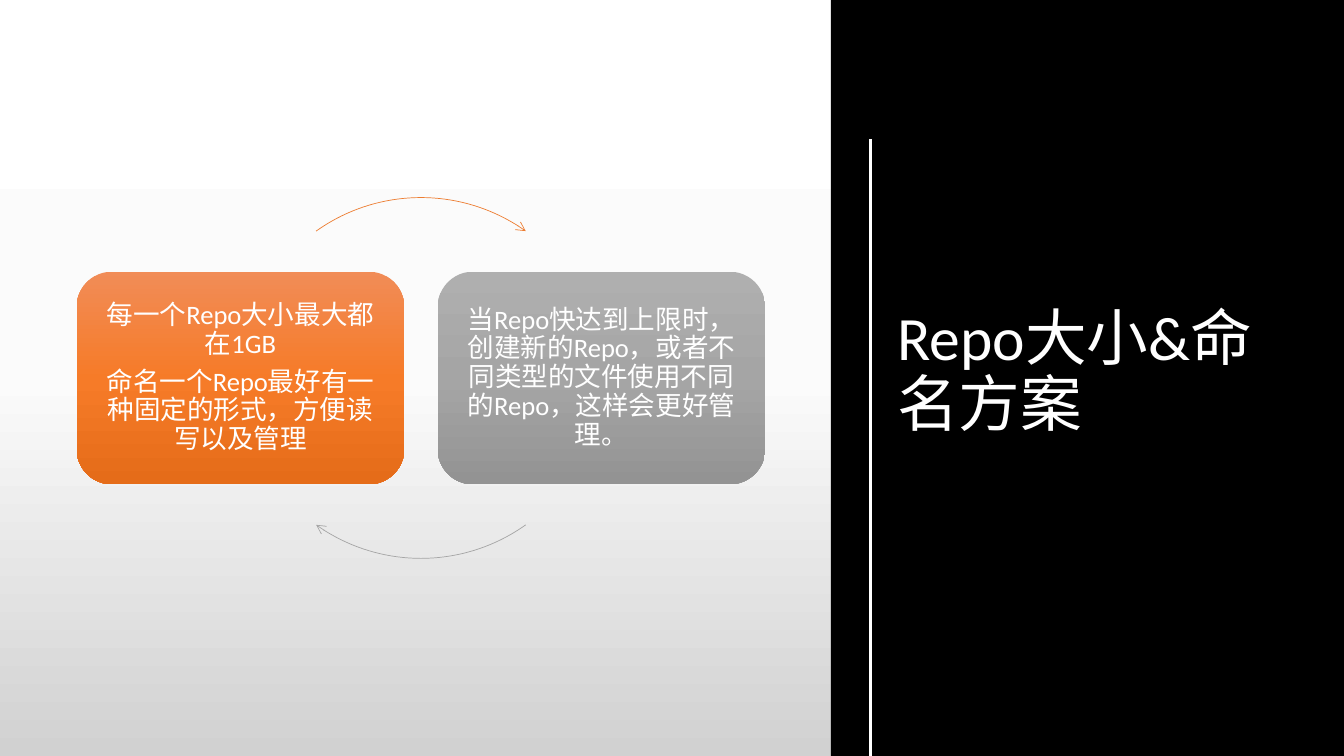
from copy import deepcopy

from pptx import Presentation
from pptx.dml.color import RGBColor
from pptx.enum.shapes import MSO_CONNECTOR, MSO_SHAPE as SHAPE
from pptx.enum.text import MSO_ANCHOR, MSO_AUTO_SIZE, PP_ALIGN as ALIGN
from pptx.oxml.ns import qn
from pptx.util import Inches, Pt
from lxml import etree

WHITE = RGBColor(0xFF, 0xFF, 0xFF)
BLACK = RGBColor(0x00, 0x00, 0x00)
ORANGE = RGBColor(0xED, 0x7D, 0x31)
GREY = RGBColor(0xA5, 0xA5, 0xA5)
PAGE_SHADES = (WHITE, RGBColor(0xFB, 0xFB, 0xFB), RGBColor(0xD1, 0xD1, 0xD1))
ORANGE_SHADES = (RGBColor(0xF1, 0x8C, 0x57), RGBColor(0xF6, 0x7B, 0x28),
                 RGBColor(0xE5, 0x6C, 0x19))
GREY_SHADES = (RGBColor(0xAF, 0xAF, 0xAF), GREY, RGBColor(0x93, 0x93, 0x93))
FONT = "Calibri"

TITLE = "Repo大小&命名方案"
CARDS = (
    (ORANGE_SHADES, ("每一个Repo大小最大都在1GB",
                     "命名一个Repo最好有一种固定的形式，方便读写以及管理")),
    (GREY_SHADES, ("当Repo快达到上限时，创建新的Repo，或者不同类型的文件使用不同的Repo，"
                   "这样会更好管理。",)),
)
# Start and end angles in degrees, clockwise from the right
ARROWS = ((ORANGE, 234.5, 305.5), (GREY, 54.5, 125.5))


def apply(target, values):
    for name, value in values.items():
        setattr(target, name, value)


def place(shape, left, top, width, height):
    apply(shape, {"left": Inches(left), "top": Inches(top),
                  "width": Inches(width), "height": Inches(height)})


def shade(fill, element, colours):
    """Fill from top to bottom with three evenly spaced colours."""
    fill.gradient()
    fill.gradient_angle = 270
    stops = element.xpath(".//a:gsLst")[0]
    stops.insert(1, deepcopy(stops[0]))
    for index, (stop, colour) in enumerate(zip(fill.gradient_stops, colours)):
        stop.position = index / 2
        stop.color.rgb = colour


def write(frame, texts, size, frame_format, para_format):
    apply(frame, {"word_wrap": True, "vertical_anchor": MSO_ANCHOR.MIDDLE,
                  **frame_format})
    for index, text in enumerate(texts):
        para = frame.add_paragraph() if index else frame.paragraphs[0]
        apply(para, {"line_spacing": 0.9, **para_format})
        span = para.add_run()
        span.text = text
        apply(span.font, {"name": FONT, "size": Pt(size)})
        span.font.color.rgb = WHITE


def add_plain(page, kind, left, top, width, height):
    shape = page.shapes.add_shape(kind, *map(Inches, (left, top, width, height)))
    shape.shadow.inherit = False
    return shape


def add_title_panel(page, left, top, width, height):
    panel = add_plain(page, SHAPE.RECTANGLE, left, top, width, height)
    panel.fill.solid()
    panel.fill.fore_color.rgb = BLACK
    panel.line.fill.background()

    # Title stands in front of the panel
    title = page.shapes.title
    panel.element.addnext(title.element)
    place(title, left + 0.56, top + 1.38, 3.83, 4.65)
    write(title.text_frame, [TITLE], 44, {"auto_size": MSO_AUTO_SIZE.NONE},
          {"alignment": ALIGN.LEFT})

    # Vertical rule beside the title
    rule_x = Inches(left + 0.39)
    rule = page.shapes.add_connector(MSO_CONNECTOR.STRAIGHT, rule_x,
                                     Inches(top + 1.38), rule_x,
                                     Inches(top + height))
    rule.line.color.rgb = WHITE
    rule.line.width = Pt(2)
    etree.SubElement(rule.element.spPr, qn("a:effectLst"))


def add_card(page, left, top, width, height, shades, texts):
    card = add_plain(page, SHAPE.ROUNDED_RECTANGLE, left, top, width, height)
    shade(card.fill, card.element, shades)
    card.line.fill.background()
    sides = ("left", "top", "right", "bottom")
    margins = {f"margin_{side}": Inches(0.08) for side in sides}
    write(card.text_frame, texts, 19, margins,
          {"alignment": ALIGN.CENTER, "space_after": Pt(6.65)})


def add_arc_arrow(page, left, top, size, colour, start, end):
    arc = add_plain(page, SHAPE.ARC, left, top, size, size)
    # Adjustments count 60000ths of a degree in units of 100000
    arc.adjustments[0], arc.adjustments[1] = start * 0.6, end * 0.6
    arc.fill.background()
    arc.line.color.rgb = colour
    arc.line.width = Pt(0.5)
    outline = arc.element.spPr.find(qn("a:ln"))
    etree.SubElement(outline, qn("a:tailEnd"), type="arrow")


def add_cycle(page, left, top, width, height):
    card_width, card_height, circle = 3.25, 2.11, 3.58
    card_top = top + (height - card_height) / 2
    step = width - card_width
    for index, (shades, texts) in enumerate(CARDS):
        add_card(page, left + index * step, card_top, card_width, card_height,
                 shades, texts)
    for colour, start, end in ARROWS:
        add_arc_arrow(page, left + (width - circle) / 2,
                      top + (height - circle) / 2, circle, colour, start, end)


deck = Presentation()
apply(deck, {"slide_width": Inches(13.33), "slide_height": Inches(7.5)})
page = deck.slides.add_slide(deck.slide_layouts.get_by_name("Title Only"))
shade(page.background.fill, page.element, PAGE_SHADES)
add_title_panel(page, 8.24, 0, 5.09, 7.5)
add_cycle(page, 0.76, 1.96, 6.83, 3.58)
deck.save("out.pptx")
